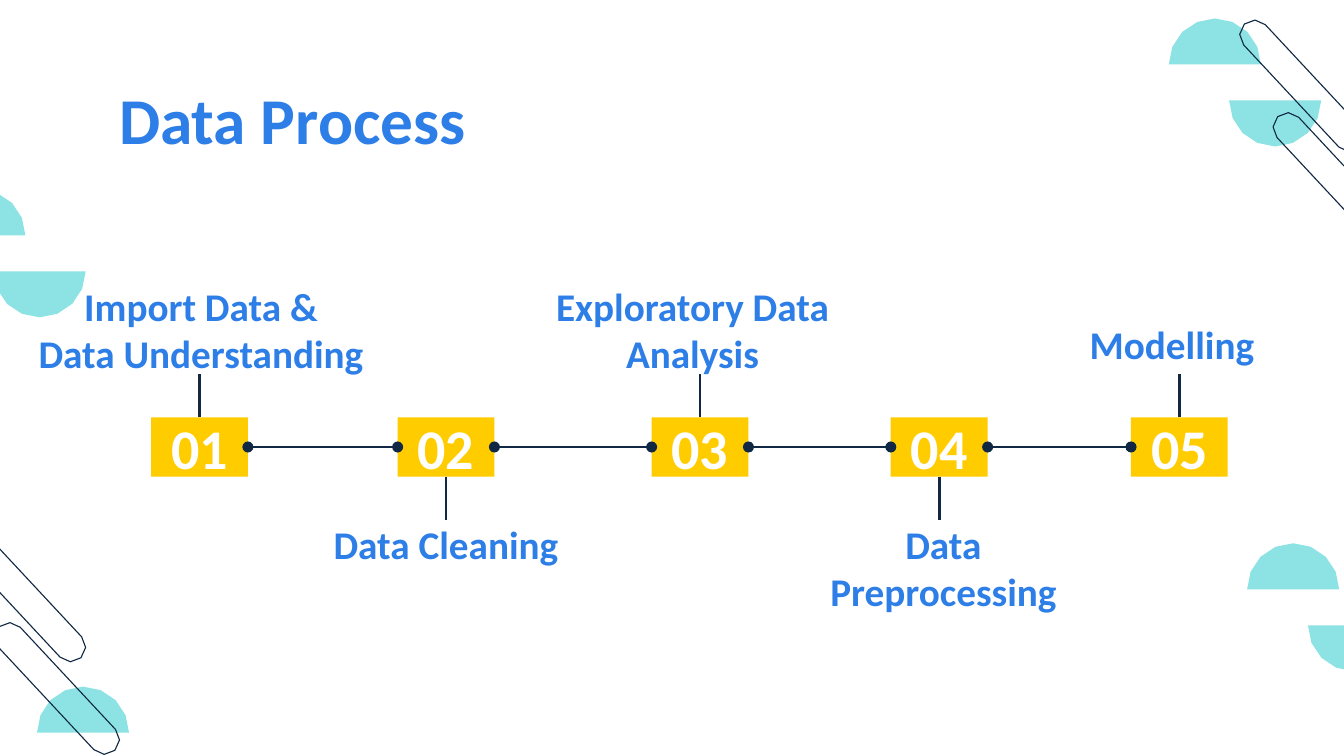
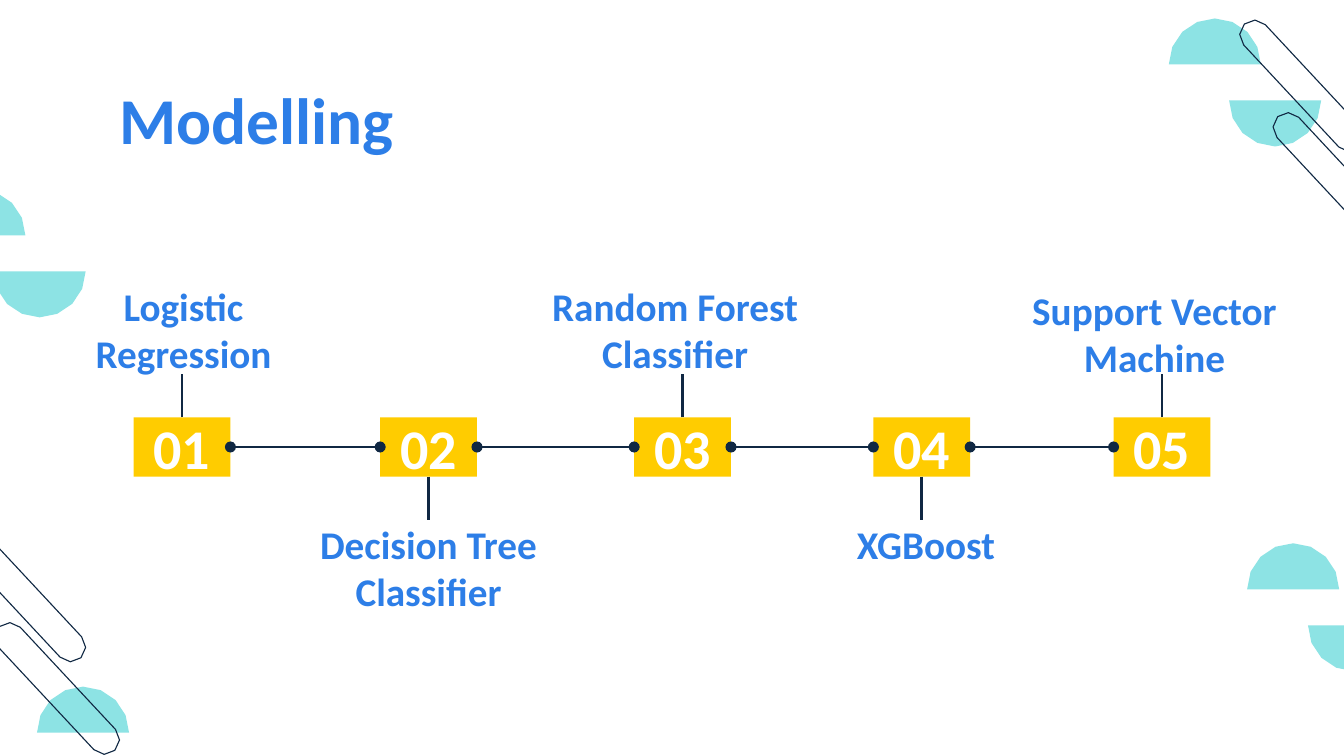
"""Build two five-step timeline slides with a shared decorated background."""
import math
from dataclasses import dataclass
from itertools import pairwise

from lxml import etree
from pptx import Presentation
from pptx.dml.color import RGBColor
from pptx.enum.shapes import MSO_CONNECTOR, MSO_SHAPE
from pptx.enum.text import MSO_ANCHOR, PP_ALIGN
from pptx.oxml.ns import qn
from pptx.shapes.autoshape import Shape
from pptx.slide import Slide
from pptx.util import Cm, Pt

RECTANGLE = MSO_SHAPE.RECTANGLE
STRAIGHT = MSO_CONNECTOR.STRAIGHT
LEFT, CENTER = PP_ALIGN.LEFT, PP_ALIGN.CENTER
TOP, MIDDLE = MSO_ANCHOR.TOP, MSO_ANCHOR.MIDDLE

Point = tuple[float, float]


@dataclass(frozen=True)
class Theme:
    """Colours, font and sizes in points."""
    blue: RGBColor = RGBColor(0x2D, 0x7E, 0xE7)
    navy: RGBColor = RGBColor(0x10, 0x28, 0x43)
    yellow: RGBColor = RGBColor(0xFF, 0xCC, 0x00)
    aqua: RGBColor = RGBColor(0x8D, 0xE3, 0xE4)
    white: RGBColor = RGBColor(0xFF, 0xFF, 0xFF)
    font: str = "Calibri"
    title_size: float = 35
    number_size: float = 30
    label_size: float = 21
    connector_width: float = 1.5
    outline_width: float = 0.59


@dataclass(frozen=True)
class HalfDisc:
    """Half disc placed by the middle of its flat edge, in centimetres."""
    x: float
    y: float
    dome_up: bool


@dataclass(frozen=True)
class Step:
    """Place of one timeline step, in centimetres."""
    center: float
    label_shift: float = 0
    label_width: float = 5.94


@dataclass(frozen=True)
class Timeline:
    """Wording of one slide and its sideways shift in centimetres."""
    title: str
    labels: tuple[str, ...]
    last_label_top: float
    shift: float = 0


THEME = Theme()
SLIDE_WIDTH, SLIDE_HEIGHT = 25.4, 14.29
INSET = 0.25
DISC_RADIUS, DISC_SEGMENTS = 0.87, 8
CAPSULE_RADIUS, CAPSULE_SEGMENTS = 0.28, 4
CAPSULE_RUN, CAPSULE_DROP = 1.8, 1.93
BOX_WIDTH, BOX_HEIGHT, BOX_TOP = 1.83, 1.12, 7.89
BOX_BOTTOM = BOX_TOP + BOX_HEIGHT
AXIS = BOX_TOP + BOX_HEIGHT / 2
STEM = 0.82
UPPER_LABEL_TOP, LOWER_LABEL_TOP = 5.08, 9.58
LABEL_HEIGHT = 1.07

HALF_DISCS = (
    HalfDisc(1.57, 13.85, True),
    HalfDisc(22.96, 1.22, True),
    HalfDisc(24.1, 1.9, False),
    HalfDisc(24.44, 11.14, True),
    HalfDisc(25.59, 11.82, False),
    HalfDisc(0.75, 5.13, False),
    HalfDisc(-0.39, 4.45, True),
)
CAPSULE_STARTS = ((0.18, 12.05), (-0.46, 10.3), (24.34, 2.41), (23.71, 0.66))
STEPS = (
    Step(3.77, 0.03, 7.47),
    Step(8.43),
    Step(13.23, -0.14),
    Step(17.75, 0.08),
    Step(22.29, -0.14),
)
TIMELINES = (
    Timeline(
        "Data Process",
        ("Import Data &\nData Understanding", "Data Cleaning",
         "Exploratory Data Analysis", "Data Preprocessing", "Modelling"),
        last_label_top=5.8,
    ),
    Timeline(
        "Modelling",
        ("Logistic\nRegression", "Decision Tree\nClassifier",
         "Random Forest\nClassifier", "XGBoost", "Support Vector Machine"),
        last_label_top=5.16,
        shift=-0.33,
    ),
)


def write_text(shape: Shape, text: str, *, size: float, color: RGBColor,
               align: PP_ALIGN = CENTER, anchor: MSO_ANCHOR = TOP) -> None:
    """Fill a shape with bold text, one paragraph per line."""
    frame = shape.text_frame
    frame.word_wrap = True
    frame.vertical_anchor = anchor
    frame.margin_left = frame.margin_right = Cm(INSET)
    frame.margin_top = frame.margin_bottom = Cm(INSET)
    frame.text = text
    for paragraph in frame.paragraphs:
        paragraph.alignment = align
        font = paragraph.runs[0].font
        font.name = THEME.font
        font.size = Pt(size)
        font.bold = True
        font.color.rgb = color


def add_text(slide: Slide, text: str, left: float, top: float, width: float,
             height: float, *, size: float, align: PP_ALIGN = CENTER) -> None:
    """Add a blue text box."""
    box = slide.shapes.add_textbox(Cm(left), Cm(top), Cm(width), Cm(height))
    write_text(box, text, size=size, color=THEME.blue, align=align)


def add_line(slide: Slide, start: Point, end: Point, *,
             dots: bool = False) -> None:
    """Add a navy connector, with round ends if wanted."""
    connector = slide.shapes.add_connector(
        STRAIGHT, *(Cm(value) for value in start + end))
    connector.line.color.rgb = THEME.navy
    connector.line.width = Pt(THEME.connector_width)
    if dots:
        outline = connector.line._get_or_add_ln()
        for tag in ("a:headEnd", "a:tailEnd"):
            etree.SubElement(outline, qn(tag), type="oval")
    etree.SubElement(connector._element.spPr, qn("a:effectLst"))


def arc(center: Point, radius: float, start: float,
        segments: int) -> list[Point]:
    """Return points of a half circle that begins at an angle in degrees."""
    angles = (math.radians(start + 180 * index / segments)
              for index in range(segments + 1))
    return [(center[0] + radius * math.cos(angle),
             center[1] + radius * math.sin(angle)) for angle in angles]


def add_outline(slide: Slide, points: list[Point]) -> Shape:
    """Add a closed freeform through the points."""
    corners = [(Cm(x), Cm(y)) for x, y in points]
    builder = slide.shapes.build_freeform(*corners[0])
    builder.add_line_segments(corners[1:], close=True)
    shape = builder.convert_to_shape()
    shape.shadow.inherit = False
    return shape


def add_half_disc(slide: Slide, disc: HalfDisc) -> None:
    """Add one aqua half disc."""
    start = 180 if disc.dome_up else 0
    shape = add_outline(
        slide, arc((disc.x, disc.y), DISC_RADIUS, start, DISC_SEGMENTS))
    shape.fill.solid()
    shape.fill.fore_color.rgb = THEME.aqua
    shape.line.fill.background()


def add_capsule(slide: Slide, start: Point) -> None:
    """Add one slanted capsule outline from its upper end."""
    end = (start[0] + CAPSULE_RUN, start[1] + CAPSULE_DROP)
    slant = math.degrees(math.atan2(CAPSULE_DROP, CAPSULE_RUN))
    shape = add_outline(
        slide, arc(end, CAPSULE_RADIUS, slant - 90, CAPSULE_SEGMENTS)
        + arc(start, CAPSULE_RADIUS, slant + 90, CAPSULE_SEGMENTS))
    shape.fill.background()
    shape.line.color.rgb = THEME.navy
    shape.line.width = Pt(THEME.outline_width)


def add_background(slide: Slide) -> None:
    """Draw the white ground and the decorations."""
    slide.background.fill.solid()
    slide.background.fill.fore_color.rgb = THEME.white
    for disc in HALF_DISCS:
        add_half_disc(slide, disc)
    for start in CAPSULE_STARTS:
        add_capsule(slide, start)


def add_number_box(slide: Slide, number: int, center: float) -> None:
    """Add the yellow box with a step number."""
    box = slide.shapes.add_shape(RECTANGLE, Cm(center - BOX_WIDTH / 2),
                                 Cm(BOX_TOP), Cm(BOX_WIDTH), Cm(BOX_HEIGHT))
    box.shadow.inherit = False
    box.fill.solid()
    box.fill.fore_color.rgb = THEME.yellow
    box.line.fill.background()
    write_text(box, f"{number:02}", size=THEME.number_size,
               color=THEME.white, anchor=MIDDLE)


def add_timeline(slide: Slide, timeline: Timeline) -> None:
    """Draw labels, boxes, stems and links of a timeline."""
    centers = [step.center + timeline.shift for step in STEPS]
    for number, (step, center, label) in enumerate(
            zip(STEPS, centers, timeline.labels), start=1):
        above = number % 2 == 1
        label_top = UPPER_LABEL_TOP if above else LOWER_LABEL_TOP
        if number == len(STEPS):
            label_top = timeline.last_label_top
        label_left = center + step.label_shift - step.label_width / 2
        add_text(slide, label, label_left, label_top, step.label_width,
                 LABEL_HEIGHT, size=THEME.label_size)
        add_number_box(slide, number, center)
        edge, reach = (BOX_TOP, -STEM) if above else (BOX_BOTTOM, STEM)
        add_line(slide, (center, edge), (center, edge + reach))
    for center, following in pairwise(centers):
        add_line(slide, (center + BOX_WIDTH / 2, AXIS),
                 (following - BOX_WIDTH / 2, AXIS), dots=True)


def main() -> None:
    """Build and save the presentation."""
    presentation = Presentation()
    presentation.slide_width = Cm(SLIDE_WIDTH)
    presentation.slide_height = Cm(SLIDE_HEIGHT)
    blank_layout = presentation.slide_layouts[6]
    for timeline in TIMELINES:
        slide = presentation.slides.add_slide(blank_layout)
        add_background(slide)
        add_text(slide, timeline.title, 2, 1.25, 21.4, 1.6,
                 size=THEME.title_size, align=LEFT)
        add_timeline(slide, timeline)
    presentation.save("out.pptx")


if __name__ == "__main__":
    main()
